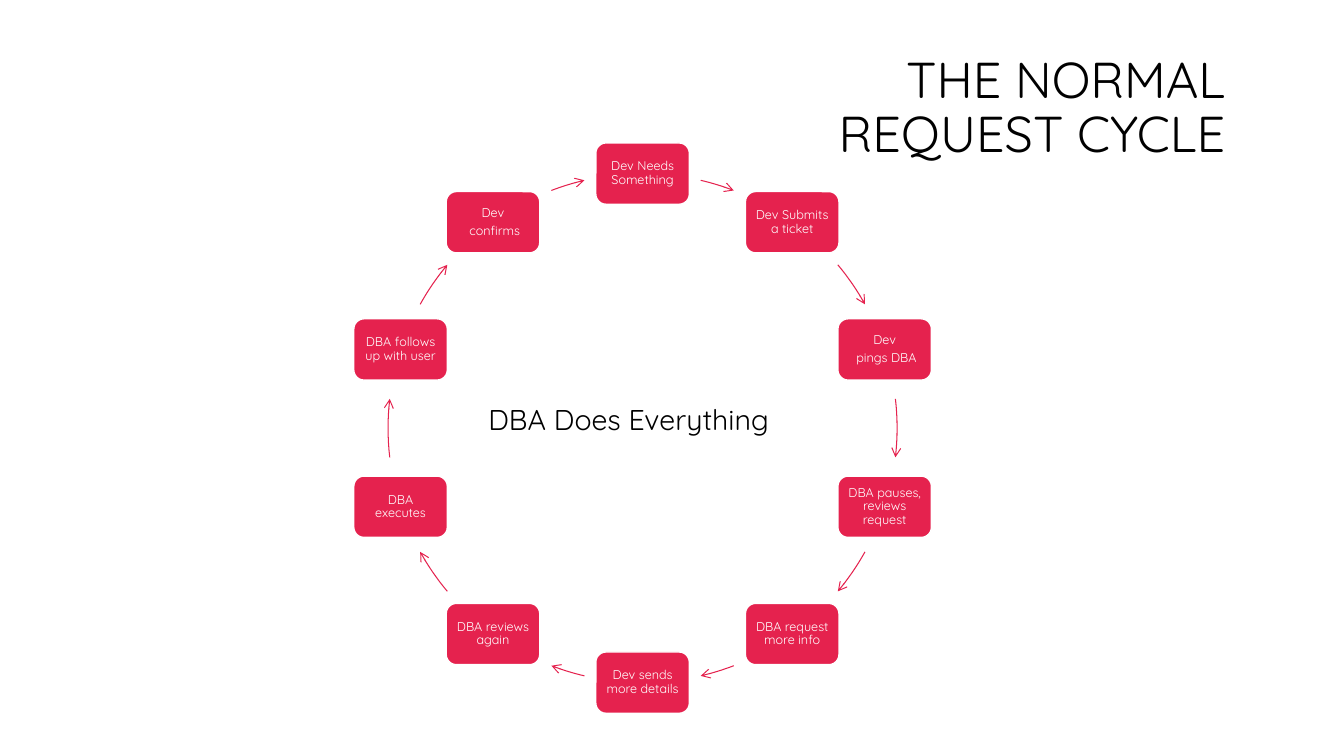
from math import sin, cos, radians
from lxml import etree
from pptx import Presentation
from pptx.dml.color import RGBColor
from pptx.enum.shapes import MSO_SHAPE as Kind
from pptx.enum.text import MSO_ANCHOR as Anchor, MSO_AUTO_SIZE as Fit, PP_ALIGN as Align
from pptx.oxml.ns import qn
from pptx.util import Pt

RED, WHITE, BLACK = "E5224E", "FFFFFF", "000000"


def tint(hue):
    return RGBColor.from_string(hue)


def write(shape, text, size, hue, align, lead, after=0, pad=(7.2, 3.6), anchor=Anchor.MIDDLE):
    frame = shape.text_frame
    frame.auto_size = Fit.NONE
    frame.word_wrap = True
    frame.vertical_anchor = anchor
    frame.margin_left = frame.margin_right = Pt(pad[0])
    frame.margin_top = frame.margin_bottom = Pt(pad[1])
    frame.text = text
    for para in frame.paragraphs:
        para.alignment = align
        para.line_spacing = lead
        para.space_before, para.space_after = Pt(0), Pt(after)
        for run in para.runs:
            run.font.name = "Quicksand"
            run.font.size = Pt(size)
            run.font.color.rgb = tint(hue)


deck = Presentation()
deck.slide_width, deck.slide_height = Pt(960), Pt(540)
slide = deck.slides.add_slide(deck.slide_layouts[5])
shapes = slide.shapes

# Title
title = shapes.title
title.left, title.top, title.width, title.height = Pt(528.5), Pt(48), Pt(354), Pt(60)
write(title, "THE NORMAL REQUEST CYCLE", 36, BLACK, Align.RIGHT, 0.9)

# Ring of steps, clockwise from the top
steps = [
    "Dev Needs Something", "Dev Submits a ticket", "Dev\n pings DBA",
    "DBA pauses, reviews request", "DBA request more info",
    "Dev sends more details", "DBA reviews again", "DBA executes",
    "DBA follows up with user", "Dev\n confirms",
]
# Arrow start and end in degrees from the top; the left half repeats the right
spans = [(13.2, 21), (50.1, 60.9), (83.4, 96.6), (119.1, 129.9), (159, 166.8)]
mid_x, mid_y, radius = 459, 305.8, 181.8
left, top, ring = Pt(mid_x - radius), Pt(mid_y - radius), Pt(2 * radius)
wide, high = 66.8, 43.8


def spot(angle):
    turn = radians(angle)
    return Pt(mid_x + radius * sin(turn)), Pt(mid_y - radius * cos(turn))


for num, step in enumerate(steps):
    # Step box
    x, y = spot(num * 360 / len(steps))
    box = shapes.add_shape(Kind.ROUNDED_RECTANGLE, x - Pt(wide / 2), y - Pt(high / 2),
                           Pt(wide), Pt(high))
    box.shadow.inherit = False
    box.fill.solid()
    box.fill.fore_color.rgb = tint(RED)
    box.line.color.rgb = tint(WHITE)
    box.line.width = Pt(1)
    write(box, step, 9, WHITE, Align.CENTER, 0.9, after=3.15, pad=(2.9, 2.9))

    # Curved arrow to the next step
    half, slot = divmod(num, len(spans))
    start, end = spans[slot]
    dots = [spot(180 * half + start + (end - start) * part / 8) for part in range(9)]
    curve = shapes.build_freeform(*dots[0])
    curve.add_line_segments(dots[1:], close=False)
    arrow = curve.convert_to_shape()
    arrow.shadow.inherit = False
    arrow.fill.background()
    arrow.line.color.rgb = tint(RED)
    arrow.line.width = Pt(0.75)
    etree.SubElement(arrow.line._get_or_add_ln(), qn("a:tailEnd"), type="arrow")

    # Give every arrow the frame of the whole ring
    for route in arrow.element.iter(qn("a:path")):
        route.set("w", str(ring))
        route.set("h", str(ring))
        for dot, (x, y) in zip(route.iter(qn("a:pt")), dots):
            dot.set("x", str(x - left))
            dot.set("y", str(y - top))
    arrow.left, arrow.top, arrow.width, arrow.height = left, top, ring, ring

# Label in the middle
label = shapes.add_textbox(Pt(341.8), Pt(288), Pt(234), Pt(36))
write(label, "DBA Does Everything", 20.4, BLACK, Align.LEFT, 0.8, anchor=Anchor.TOP)

deck.save("out.pptx")
